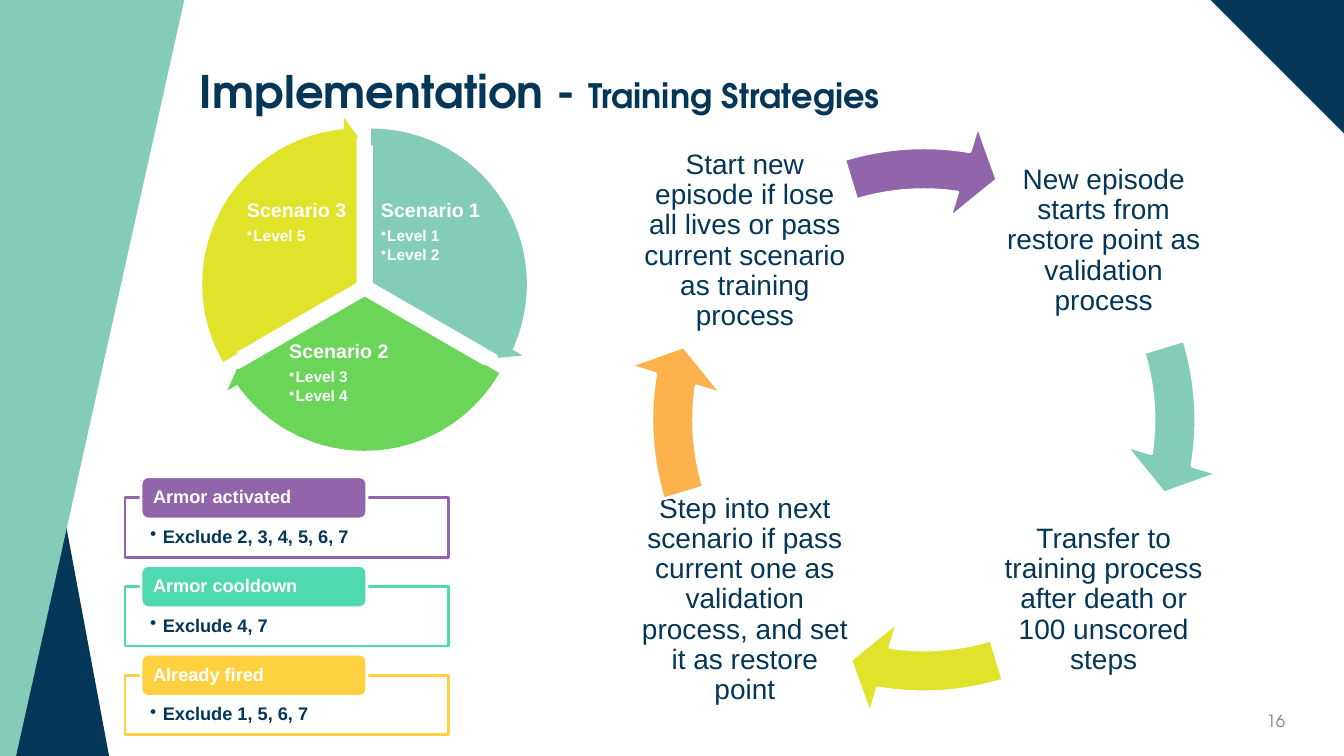
import pptx
import pptx.util
import pptx.dml.color
import pptx.enum.shapes
import pptx.enum.text
from lxml import etree
from pptx.oxml.ns import qn

Pt = pptx.util.Pt
SHAPE = pptx.enum.shapes.MSO_SHAPE
ALIGN = pptx.enum.text.PP_ALIGN
ANCHOR = pptx.enum.text.MSO_ANCHOR
COLORS = {
    "navy": "043657", "teal": "83CDB8", "lime": "E0E329", "green": "6AD559",
    "orange": "FCB24C", "purple": "9264AA", "mint": "4ED9B0",
    "yellow": "FFD140", "white": "FFFFFF", "gray": "7F7F7F",
}
HEAD_FONT = "TeX Gyre Adventor"
BODY_FONT = "Arial"


def rgb(name):
    return pptx.dml.color.RGBColor.from_string(COLORS[name])


def style_shape(sp, fill, line=None):
    sp.shadow.inherit = False
    sp.fill.solid()
    sp.fill.fore_color.rgb = rgb(fill)
    if line:
        sp.line.color.rgb = rgb(line)
        sp.line.width = Pt(2)
    else:
        sp.line.fill.background()


def add_shape(s, kind, box, fill, line=None, adj=()):
    sp = s.shapes.add_shape(kind, *(Pt(v) for v in box))
    style_shape(sp, fill, line)
    for i, value in enumerate(adj):
        sp.adjustments[i] = value
    return sp


def add_text_box(s, box):
    return s.shapes.add_textbox(*(Pt(v) for v in box))


def set_frame(tf, insets, anchor=ANCHOR.TOP):
    """Insets run left, top, right, bottom."""
    tf.word_wrap = True
    tf.auto_size = pptx.enum.text.MSO_AUTO_SIZE.NONE
    tf.vertical_anchor = anchor
    tf.margin_left, tf.margin_top, tf.margin_right, tf.margin_bottom = (
        Pt(v) for v in insets)


def style_run(r, size, color, bold=False, font=BODY_FONT):
    r.font.size = Pt(size)
    r.font.name = font
    r.font.bold = bold
    r.font.color.rgb = rgb(color)


def write(p, text, size, color, bold=False, align=ALIGN.LEFT, after=0.35):
    """Space after is a share of the text size."""
    p.text = text
    p.alignment = align
    p.line_spacing = 0.9
    p.space_after = Pt(round(size * after, 2))
    style_run(p.runs[0], size, color, bold)


def write_bullet(p, text, size, color, indent):
    write(p, text, size, color, bold=True, after=0.15)
    ppr = p._p.get_or_add_pPr()
    ppr.set("marL", str(Pt(indent)))
    ppr.set("indent", str(-Pt(indent)))
    etree.SubElement(ppr, qn("a:buChar")).set("char", "•")


def add_background(s):
    corner = add_shape(s, SHAPE.RIGHT_TRIANGLE, (864, -0.7, 97, 97), "navy")
    corner.rotation = 180
    add_shape(s, SHAPE.RIGHT_TRIANGLE, (0, 122.4, 78, 418), "navy")
    builder = s.shapes.build_freeform(Pt(131.8), Pt(-0.7))
    builder.add_line_segments(
        [(Pt(x), Pt(y)) for x, y in ((0, -0.7), (0, 540), (11.5, 540))])
    style_shape(builder.convert_to_shape(), "teal")


def add_title(s):
    title = s.shapes.title
    title.left, title.top, title.width, title.height = (
        Pt(v) for v in (135.4, 28.8, 790, 76.3))
    tf = title.text_frame
    set_frame(tf, (7.2, 3.6, 7.2, 3.6), ANCHOR.MIDDLE)
    p = tf.paragraphs[0]
    p.alignment = ALIGN.LEFT
    p.line_spacing = 0.9
    for text, size in (("Implementation - ", 32), ("Training Strategies", 24)):
        r = p.add_run()
        r.text = text
        style_run(r, size, "navy", True, HEAD_FONT)


def add_page_number(s):
    tf = add_text_box(s, (709.2, 500.4, 216, 28.8)).text_frame
    set_frame(tf, (7.2, 3.6, 7.2, 3.6), ANCHOR.MIDDLE)
    p = tf.paragraphs[0]
    p.text = "16"
    p.alignment = ALIGN.RIGHT
    style_run(p.runs[0], 12, "gray", font=HEAD_FONT)


def add_cycle(s):
    """Four steps clockwise from the top right, each followed by an arrow."""
    left, right, top, bottom = 456.5, 712.8, 96.5, 352.8
    steps = (
        (right, top, "teal",
         "New episode starts from restore point as validation process"),
        (right, bottom, "lime",
         "Transfer to training process after death or 100 unscored steps"),
        (left, bottom, "orange",
         "Step into next scenario if pass current one as validation process, "
         "and set it as restore point"),
        (left, top, "purple",
         "Start new episode if lose all lives or pass current scenario as "
         "training process"),
    )
    for i, (x, y, color, text) in enumerate(steps):
        tf = add_text_box(s, (x, y, 151.2, 151.2)).text_frame
        set_frame(tf, (2, 2, 2, 2), ANCHOR.MIDDLE)
        write(tf.paragraphs[0], text, 20, "navy", align=ALIGN.CENTER)
        turn = 54 * i
        add_shape(s, SHAPE.CIRCULAR_ARROW, (446.4, 86.4, 427, 427), color,
                  "white", (0.07, 4.65, 5.51 + turn, (205.84 + turn) % 216, 0.08))


def add_scenario_pie(s):
    scenarios = (
        ("Scenario 1", ("Level 1", "Level 2"), "teal", (159.1, 96.5),
         (270.7, 141.8, 75.6, 63.4)),
        ("Scenario 2", ("Level 3", "Level 4"), "green", (154.3, 104.4),
         (205.2, 242.6, 113.8, 55.4)),
        ("Scenario 3", ("Level 5",), "lime", (149.5, 96.5),
         (175, 141.8, 75.6, 63.4)),
    )
    for i, (name, levels, color, (x, y), text_box) in enumerate(scenarios):
        start = (162 + 72 * i) % 216
        add_shape(s, SHAPE.PIE, (x, y, 212.4, 212.4), color, "white",
                  (start, (start + 72) % 216))
        tf = add_text_box(s, text_box).text_frame
        set_frame(tf, (1.4, 1.4, 1.4, 1.4))
        write(tf.paragraphs[0], name, 14, "white", True)
        for level in levels:
            write_bullet(tf.add_paragraph(), level, 11, "white", 4.5)
    for i, (_, _, color, (x, y), _) in enumerate(scenarios):
        add_shape(s, SHAPE.CIRCULAR_ARROW, (x - 13.4, y - 13, 239, 239), color,
                  adj=(0.05, 3.28, 14.73 + 72 * i, (162 + 72 * i) % 216, 0.06))


def add_rule(s, top, color, name, excluded):
    """A framed list of excluded actions with a coloured label on its edge."""
    frame = add_shape(s, SHAPE.RECTANGLE, (89.3, top, 231.1, 42.5), "white", color)
    solid = frame._element.spPr.find(qn("a:solidFill"))
    etree.SubElement(solid[0], qn("a:alpha")).set("val", "90000")
    set_frame(frame.text_frame, (18, 21.3, 18, 7.2))
    write_bullet(frame.text_frame.paragraphs[0], excluded, 13, "navy", 9)
    label = add_shape(s, SHAPE.ROUNDED_RECTANGLE, (100.8, top - 15.1, 161.3, 30.2),
                      color, "white")
    set_frame(label.text_frame, (7.2, 0, 7.2, 0), ANCHOR.MIDDLE)
    write(label.text_frame.paragraphs[0], name, 13, "white", True)


def main():
    prs = pptx.Presentation()
    prs.slide_width, prs.slide_height = Pt(960), Pt(540)
    s = prs.slides.add_slide(prs.slide_layouts[5])
    add_background(s)
    add_page_number(s)
    add_title(s)
    add_cycle(s)
    add_scenario_pie(s)
    rules = (
        ("purple", "Armor activated", "Exclude 2, 3, 4, 5, 6, 7"),
        ("mint", "Armor cooldown", "Exclude 4, 7"),
        ("yellow", "Already fired", "Exclude 1, 5, 6, 7"),
    )
    for i, rule in enumerate(rules):
        add_rule(s, 355.6 + 63.4 * i, *rule)
    prs.save("out.pptx")


if __name__ == "__main__":
    main()
